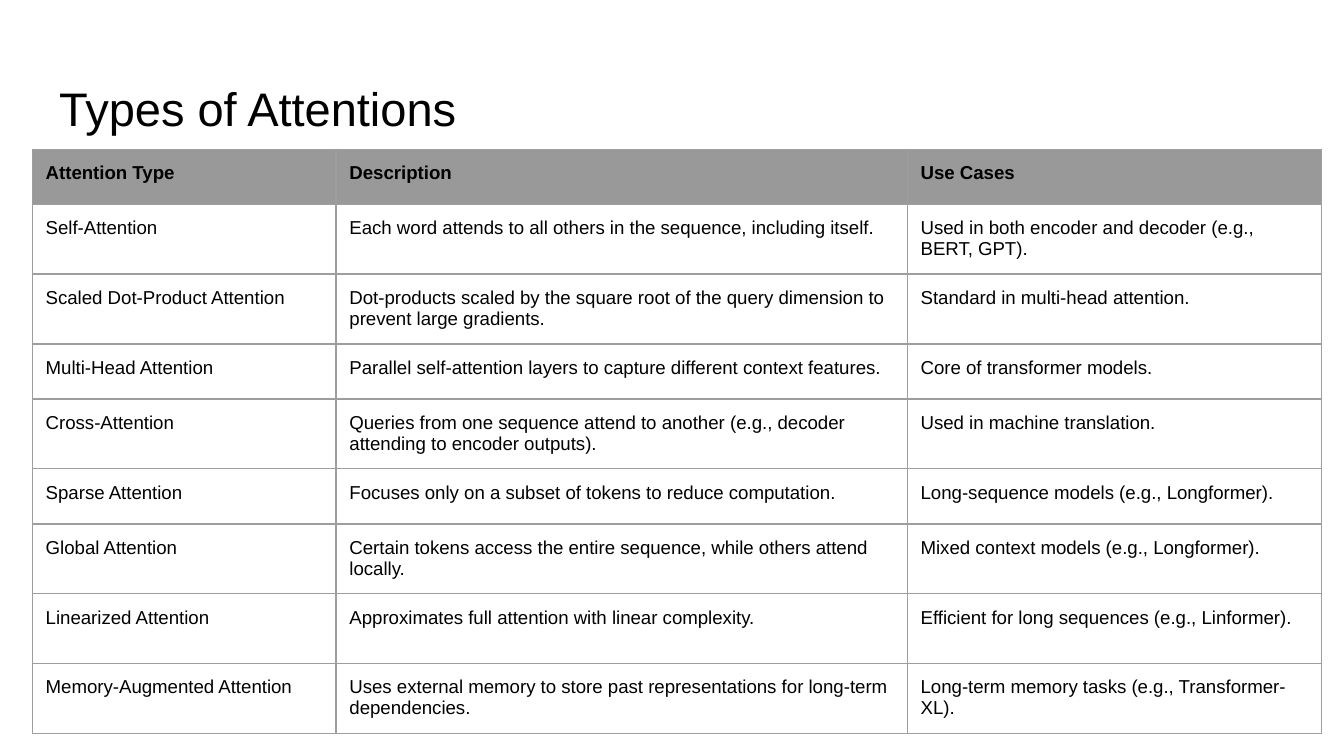
from lxml import etree
from pptx import Presentation
from pptx.dml.color import RGBColor
from pptx.enum.text import MSO_ANCHOR, PP_ALIGN
from pptx.oxml.ns import qn
from pptx.util import Inches, Pt

LEFT = PP_ALIGN.LEFT
TOP = MSO_ANCHOR.TOP
MIDDLE = MSO_ANCHOR.MIDDLE
TITLE_ONLY = 5

FONT = "Arial"
COLORS = {"text": "000000", "header": "999999", "border": "9E9E9E"}
INSET = Inches(0.1)
COLUMN_WIDTHS = [2.26, 4.25, 3.08]
SINGLE, DOUBLE = 0.41, 0.52
ROW_HEIGHTS = [SINGLE, DOUBLE, DOUBLE, SINGLE, DOUBLE, SINGLE, DOUBLE, DOUBLE, DOUBLE]

ATTENTION_TYPES = [
    ("Attention Type", "Description", "Use Cases"),
    ("Self-Attention",
     "Each word attends to all others in the sequence, including itself.",
     "Used in both encoder and decoder (e.g., BERT, GPT)."),
    ("Scaled Dot-Product Attention",
     "Dot-products scaled by the square root of the query dimension to prevent large gradients.",
     "Standard in multi-head attention."),
    ("Multi-Head Attention",
     "Parallel self-attention layers to capture different context features.",
     "Core of transformer models."),
    ("Cross-Attention",
     "Queries from one sequence attend to another (e.g., decoder attending to encoder outputs).",
     "Used in machine translation."),
    ("Sparse Attention",
     "Focuses only on a subset of tokens to reduce computation.",
     "Long-sequence models (e.g., Longformer)."),
    ("Global Attention",
     "Certain tokens access the entire sequence, while others attend locally.",
     "Mixed context models (e.g., Longformer)."),
    ("Linearized Attention",
     "Approximates full attention with linear complexity.",
     "Efficient for long sequences (e.g., Linformer)."),
    ("Memory-Augmented Attention",
     "Uses external memory to store past representations for long-term dependencies.",
     "Long-term memory tasks (e.g., Transformer-XL)."),
]


def format_text(paragraph, size, bold=False):
    paragraph.alignment = LEFT
    paragraph.font.name = FONT
    paragraph.font.size = Pt(size)
    paragraph.font.bold = bold
    paragraph.font.color.rgb = RGBColor.from_string(COLORS["text"])


def add_borders(cell):
    properties = cell._tc.get_or_add_tcPr()
    for index, side in enumerate(("a:lnL", "a:lnR", "a:lnT", "a:lnB")):
        line = etree.Element(qn(side), w=str(Pt(0.75)))
        fill = etree.SubElement(line, qn("a:solidFill"))
        etree.SubElement(fill, qn("a:srgbClr"), val=COLORS["border"])
        properties.insert(index, line)  # borders come before the fill


# Widescreen slide, 16:9
prs = Presentation()
prs.slide_width, prs.slide_height = Inches(10), Inches(10 * 9 / 16)
slide = prs.slides.add_slide(prs.slide_layouts[TITLE_ONLY])

# Title
title = slide.shapes.title
title.left, title.top = Inches(0.34), Inches(0.49)
title.width, title.height = Inches(9.32), Inches(0.63)
heading = title.text_frame
heading.text = "Types of Attentions"
heading.vertical_anchor = MIDDLE
heading.margin_left = heading.margin_right = INSET
heading.margin_top = heading.margin_bottom = INSET
format_text(heading.paragraphs[0], 25.2)

# Attention table
attention = slide.shapes.add_table(
    len(ATTENTION_TYPES), len(COLUMN_WIDTHS), Inches(0.24), Inches(1.11),
    Inches(sum(COLUMN_WIDTHS)), Inches(sum(ROW_HEIGHTS))).table
attention.horz_banding = False
for column, width in zip(attention.columns, COLUMN_WIDTHS):
    column.width = Inches(width)

for r, (entries, height) in enumerate(zip(ATTENTION_TYPES, ROW_HEIGHTS)):
    attention.rows[r].height = Inches(height)
    for c, entry in enumerate(entries):
        cell = attention.cell(r, c)
        cell.text = entry
        cell.vertical_anchor = TOP
        cell.margin_left = cell.margin_right = INSET
        cell.margin_top = cell.margin_bottom = INSET
        format_text(cell.text_frame.paragraphs[0], 10, bold=r == 0)
        if r == 0:
            cell.fill.solid()
            cell.fill.fore_color.rgb = RGBColor.from_string(COLORS["header"])
        else:
            cell.fill.background()
        add_borders(cell)

prs.save("out.pptx")
